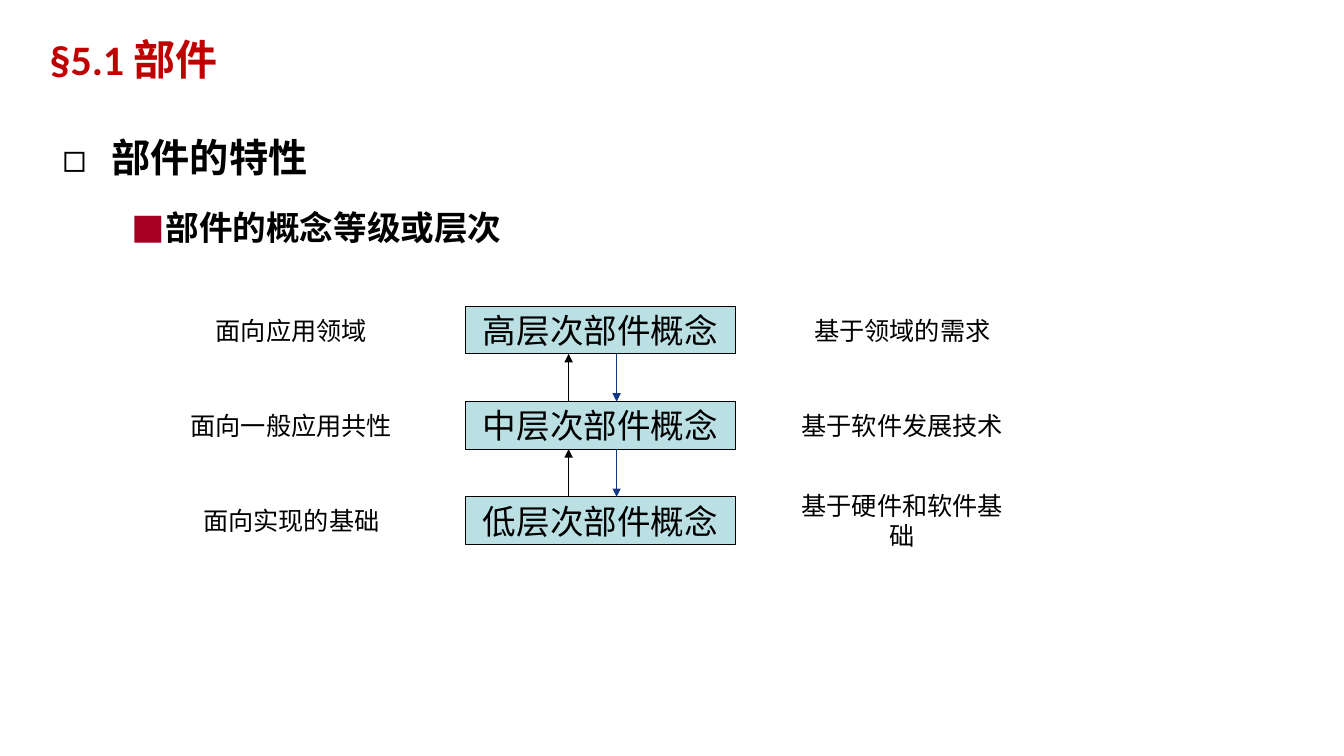
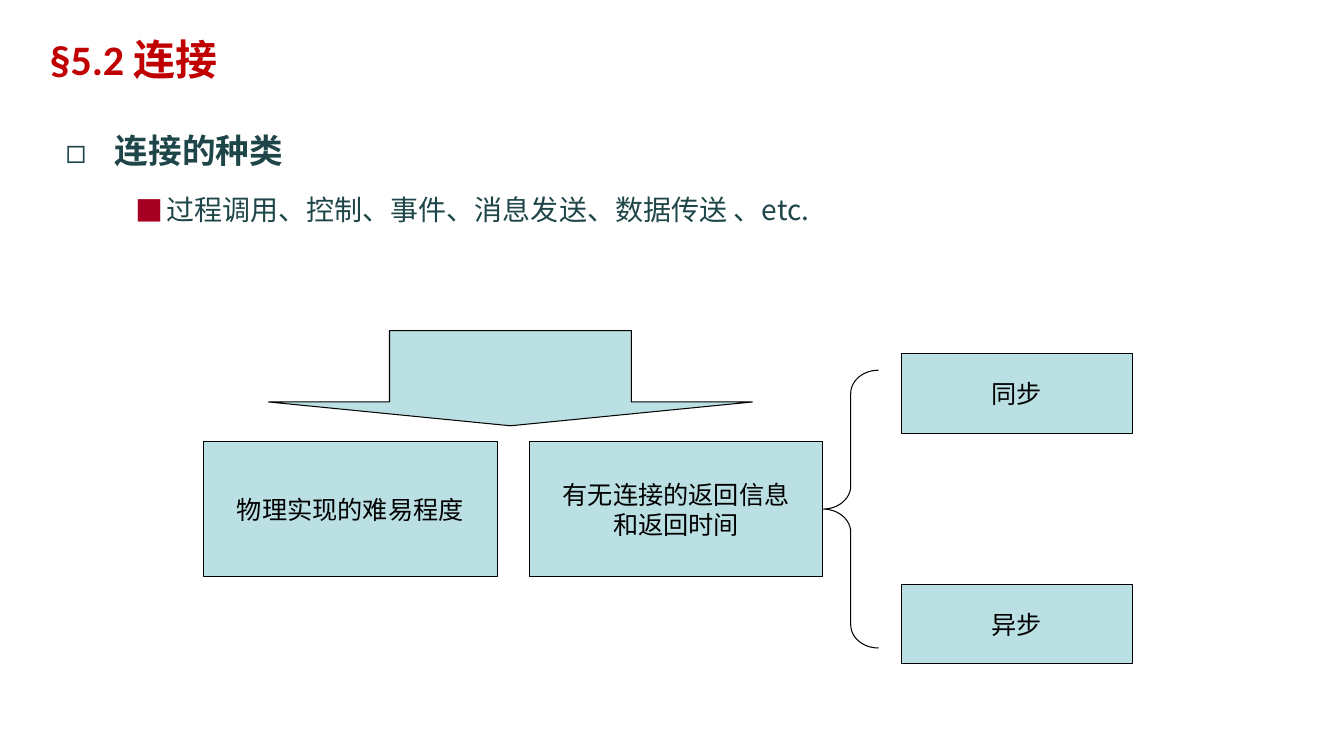
from lxml import etree
from pptx import Presentation
from pptx.dml.color import RGBColor
from pptx.enum.shapes import MSO_CONNECTOR, MSO_SHAPE
from pptx.enum.text import MSO_ANCHOR, MSO_AUTO_SIZE, PP_ALIGN
from pptx.oxml.ns import qn
from pptx.util import Cm, Pt

RECTANGLE = MSO_SHAPE.RECTANGLE
DOWN_ARROW = MSO_SHAPE.DOWN_ARROW
LEFT_BRACE = MSO_SHAPE.LEFT_BRACE
STRAIGHT = MSO_CONNECTOR.STRAIGHT
TOP, MIDDLE = MSO_ANCHOR.TOP, MSO_ANCHOR.MIDDLE
LEFT, CENTER, JUSTIFY = PP_ALIGN.LEFT, PP_ALIGN.CENTER, PP_ALIGN.JUSTIFY
NO_AUTOFIT = MSO_AUTO_SIZE.NONE

# Shared style
LATIN_FONT, CHINESE_FONT = "Calibri", "Noto Sans CJK SC"
BLACK, TITLE_RED, BULLET_RED = "000000", "C00000", "A50021"
PALE_TEAL, DARK_TEAL, BLUE = "BBE0E3", "1E4649", "133984"
# Bullet, bullet colour, left margin and first-line indent in cm
LIST_LEVELS = [("◻", None, 1.24, -1.24), ("■", BULLET_RED, 2.54, -0.79)]


def color(hex_string):
    return RGBColor.from_string(hex_string)


def add_element(parent, tag, **attributes):
    return etree.SubElement(parent, qn(tag), attributes)


def set_attributes(target, values):
    for name, value in values.items():
        setattr(target, name, value)


def place(shape, left, top, width, height):
    set_attributes(shape, {"left": Cm(left), "top": Cm(top),
                           "width": Cm(width), "height": Cm(height)})


def add_run(paragraph, text, size, hex_color, bold=False, name=CHINESE_FONT):
    run = paragraph.add_run()
    run.text = text
    set_attributes(run.font, {"size": Pt(size), "bold": bold, "name": name})
    run.font.color.rgb = color(hex_color)
    add_element(run.font._element, "a:ea", typeface=CHINESE_FONT)


def set_indent(paragraph, margin, indent):
    properties = paragraph._p.get_or_add_pPr()
    properties.set("marL", str(Cm(margin)))
    properties.set("indent", str(Cm(indent)))
    return properties


def add_title(slide, number, text):
    title = slide.shapes.title
    place(title, 0.03, 0.74, 33.86, 1.9)
    frame = title.text_frame
    set_attributes(frame, {
        "margin_left": Cm(0.2), "margin_top": Cm(0.1), "margin_right": Cm(0.25),
        "margin_bottom": Cm(0.13), "vertical_anchor": TOP,
        "auto_size": NO_AUTOFIT})
    paragraph = frame.paragraphs[0]
    paragraph.alignment = LEFT
    set_indent(paragraph, 0, 1.02)
    add_run(paragraph, number + " ", 30, TITLE_RED, True, LATIN_FONT)
    add_run(paragraph, text, 30, TITLE_RED, True)


def add_list(slide, bounds, hex_color, items):
    """Fill the body; each item is text, size and bold, one level deeper."""
    body = slide.placeholders[1]
    place(body, *bounds)
    frame = body.text_frame
    set_attributes(frame, {"auto_size": NO_AUTOFIT, "vertical_anchor": TOP})
    for level, (text, size, bold) in enumerate(items):
        paragraph = frame.add_paragraph() if level else frame.paragraphs[0]
        set_attributes(paragraph, {
            "level": level, "alignment": JUSTIFY, "line_spacing": 1.5,
            "space_before": Pt(0.2 * size if level else 0)})
        bullet, bullet_color, margin, indent = LIST_LEVELS[level]
        properties = set_indent(paragraph, margin, indent)
        if bullet_color:
            holder = add_element(properties, "a:buClr")
            add_element(holder, "a:srgbClr", val=bullet_color)
        add_element(properties, "a:buFont", typeface=CHINESE_FONT)
        add_element(properties, "a:buChar", char=bullet)
        add_run(paragraph, text, size, hex_color, bold)


def write_centered(shape, lines, size):
    frame = shape.text_frame
    set_attributes(frame, {"word_wrap": False, "vertical_anchor": MIDDLE})
    for index, line in enumerate(lines):
        paragraph = frame.add_paragraph() if index else frame.paragraphs[0]
        paragraph.alignment = CENTER
        add_run(paragraph, line, size, BLACK)


def add_label(slide, bounds, text):
    label = slide.shapes.add_textbox(*map(Cm, bounds))
    write_centered(label, [text], 18)


def add_figure(slide, kind, bounds, fill=PALE_TEAL, adjustments=()):
    shape = slide.shapes.add_shape(kind, *map(Cm, bounds))
    shape.shadow.inherit = False
    if fill:
        shape.fill.solid()
        shape.fill.fore_color.rgb = color(fill)
    else:
        shape.fill.background()
    shape.line.color.rgb = color(BLACK)
    shape.line.width = Pt(0.75)
    for index, value in enumerate(adjustments):
        shape.adjustments[index] = value
    return shape


def add_box(slide, bounds, lines, size=18):
    write_centered(add_figure(slide, RECTANGLE, bounds), lines, size)


def add_vertical_arrow(slide, x, start, end, hex_color, width):
    arrow = slide.shapes.add_connector(STRAIGHT, Cm(x), Cm(start), Cm(x), Cm(end))
    arrow.line.color.rgb = color(hex_color)
    arrow.line.width = Pt(width)
    add_element(arrow.line._get_or_add_ln(), "a:tailEnd", type="triangle")
    add_element(arrow._element.spPr, "a:effectLst")


def add_slide(presentation, number, title):
    slide = presentation.slides.add_slide(presentation.slide_layouts[1])
    add_title(slide, number, title)
    return slide


def build_component_slide(presentation):
    slide = add_slide(presentation, "§5.1", "部件")
    add_list(slide, (1.32, 2.64, 30.4, 14.55), BLACK,
             [("部件的特性", 28, True), ("部件的概念等级或层次", 24, True)])

    # Three levels with a label on either side
    levels = [("面向应用领域", "高层次部件概念", "基于领域的需求"),
              ("面向一般应用共性", "中层次部件概念", "基于软件发展技术"),
              ("面向实现的基础", "低层次部件概念", "基于硬件和软件基础")]
    first_top, height, step = 7.72, 1.2, 2.4
    for index, (orientation, concept, basis) in enumerate(levels):
        top = first_top + index * step
        add_label(slide, (4.34, top, 6, height), orientation)
        add_box(slide, (11.73, top, 6.81, height), [concept], 24)
        add_label(slide, (19.74, top, 6, height), basis)
        if index:
            upper_edge = top - step + height
            add_vertical_arrow(slide, 14.33, top, upper_edge, BLACK, 0.75)
            add_vertical_arrow(slide, 15.54, upper_edge, top, BLUE, 1)


def build_connection_slide(presentation):
    slide = add_slide(presentation, "§5.2", "连接")
    add_list(slide, (1.4, 2.64, 30.33, 13.72), DARK_TEAL,
             [("连接的种类", 24, True),
              ("过程调用、控制、事件、消息发送、数据传送 、etc.", 20, False)])

    # Two criteria below the arrow
    add_figure(slide, DOWN_ARROW, (6.77, 8.33, 12.19, 2.4), adjustments=(0.5, 0.25))
    criteria = [["物理实现的难易程度"], ["有无连接的返回信息", "和返回时间"]]
    for index, lines in enumerate(criteria):
        add_box(slide, (5.13 + index * 8.21, 11.13, 7.4, 3.4), lines)

    # Return timing
    add_figure(slide, LEFT_BRACE, (20.74, 9.33, 1.4, 7), None, (0.417, 0.5))
    for index, timing in enumerate(["同步", "异步"]):
        add_box(slide, (22.73, 8.92 + index * 5.81, 5.8, 2), [timing])


def main():
    presentation = Presentation()
    presentation.slide_width = Cm(33.87)
    presentation.slide_height = Cm(19.05)
    build_component_slide(presentation)
    build_connection_slide(presentation)
    presentation.save("out.pptx")


if __name__ == "__main__":
    main()
